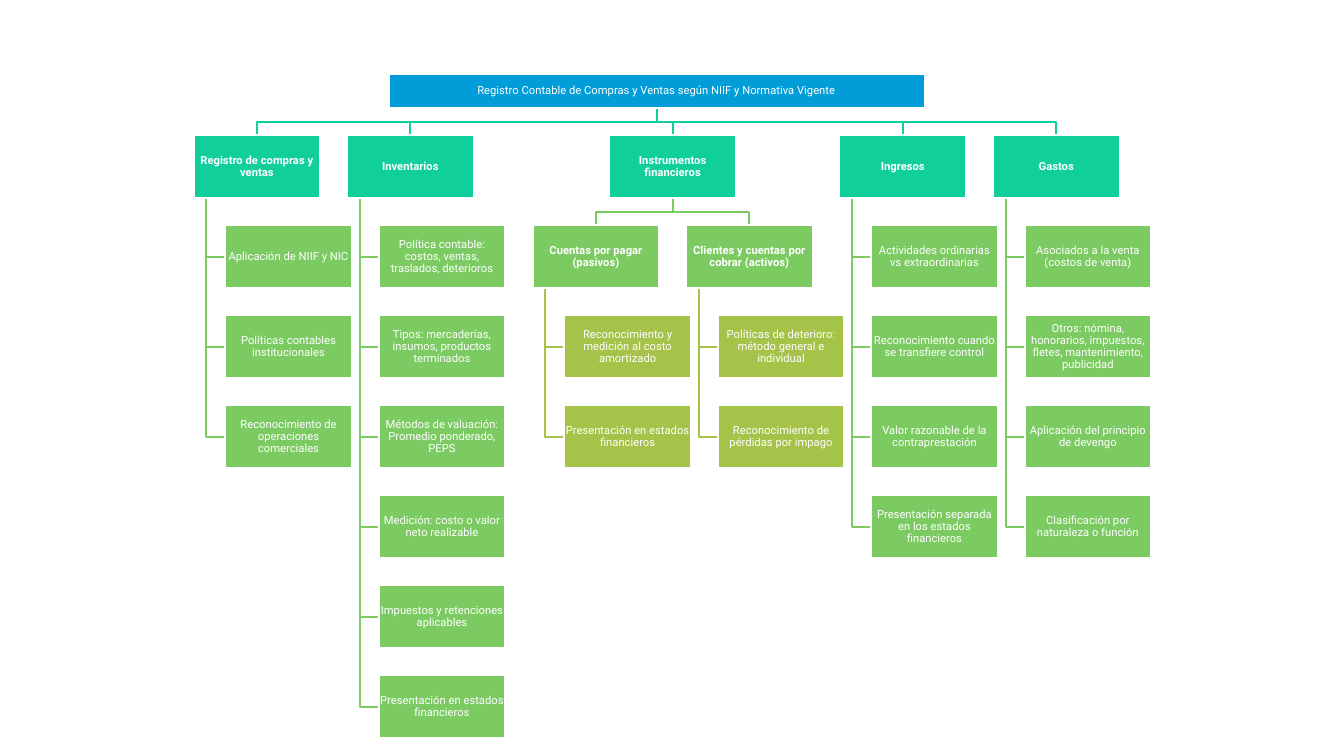
from dataclasses import dataclass

from pptx import Presentation
from pptx.dml.color import RGBColor as Rgb
from pptx.enum.shapes import MSO_SHAPE as Preset
from pptx.enum.text import MSO_ANCHOR as Anchor, PP_ALIGN as Align
from pptx.util import Inches, Pt


@dataclass(frozen=True)
class Theme:
    """Colours by level of the tree, and type settings."""
    levels: tuple = ("009DD9", "10CF9B", "7CCA62", "A5C249")
    white: str = "FFFFFF"
    font: str = "Roboto"
    size: float = 8
    spacing: float = 0.9
    line: float = 1.5


@dataclass(frozen=True)
class Box:
    """A rectangle in inches."""
    left: float
    top: float
    width: float
    height: float

    @property
    def center(self):
        """Return the horizontal centre."""
        return self.left + self.width / 2

    @property
    def middle(self):
        """Return the vertical centre."""
        return self.top + self.height / 2

    @property
    def bottom(self):
        """Return the lower edge."""
        return self.top + self.height


THEME = Theme()
SLIDE_W, SLIDE_H = 13.33, 7.5
NODE_H = SLIDE_W / 21.2
NODE_W = 2 * NODE_H
GAP = 0.42 * NODE_H
COLUMN, ROW = NODE_W + GAP, NODE_H + GAP
INDENT, SPINE = 0.25 * NODE_W, 0.1 * NODE_W
TREE_LEFT, TREE_TOP = 1.92, 1.34
ROOT_W, ROOT_H = 5.32, 0.34

TITLE = "Registro Contable de Compras y Ventas según NIIF y Normativa Vigente"
BRANCHES = [
    (0, "Registro de compras y ventas", [
        "Aplicación de NIIF y NIC",
        "Políticas contables institucionales",
        "Reconocimiento de operaciones comerciales",
    ]),
    (1, "Inventarios", [
        "Política contable: costos, ventas, traslados, deterioros",
        "Tipos: mercaderías, insumos, productos terminados",
        "Métodos de valuación: Promedio ponderado, PEPS",
        "Medición: costo o valor neto realizable",
        "Impuestos y retenciones aplicables",
        "Presentación en estados financieros",
    ]),
    (2.71, "Instrumentos financieros", [
        (-0.5, "Cuentas por pagar (pasivos)", [
            "Reconocimiento y medición al costo amortizado",
            "Presentación en estados financieros",
        ]),
        (0.5, "Clientes y cuentas por cobrar (activos)", [
            "Políticas de deterioro: método general e individual",
            "Reconocimiento de pérdidas por impago",
        ]),
    ]),
    (4.21, "Ingresos", [
        "Actividades ordinarias vs extraordinarias",
        "Reconocimiento cuando se transfiere control",
        "Valor razonable de la contraprestación",
        "Presentación separada en los estados financieros",
    ]),
    (5.21, "Gastos", [
        "Asociados a la venta (costos de venta)",
        "Otros: nómina, honorarios, impuestos, fletes, mantenimiento, publicidad",
        "Aplicación del principio de devengo",
        "Clasificación por naturaleza o función",
    ]),
]


def draw_node(slide, box, label, level, bold=False):
    """Draw one labelled rectangle filling the box."""
    node = slide.shapes.add_shape(
        Preset.RECTANGLE, *map(Inches, (box.left, box.top, box.width, box.height)))
    node.shadow.inherit = False
    node.fill.solid()
    node.fill.fore_color.rgb = Rgb.from_string(THEME.levels[level])
    node.line.color.rgb = Rgb.from_string(THEME.white)
    node.line.width = Pt(THEME.line)
    frame = node.text_frame
    frame.word_wrap = True
    frame.vertical_anchor = Anchor.MIDDLE
    frame.margin_left = frame.margin_right = Inches(0.01)
    frame.margin_top = frame.margin_bottom = Inches(0.01)
    paragraph = frame.paragraphs[0]
    paragraph.alignment = Align.CENTER
    paragraph.line_spacing = THEME.spacing
    run = paragraph.add_run()
    run.text = label
    run.font.name = THEME.font
    run.font.size = Pt(THEME.size)
    run.font.bold = bold
    run.font.color.rgb = Rgb.from_string(THEME.white)


def draw_link(slide, points, level):
    """Draw an open elbow line through the points."""
    start, *rest = [(Inches(x), Inches(y)) for x, y in points]
    builder = slide.shapes.build_freeform(*start)
    builder.add_line_segments(rest, close=False)
    link = builder.convert_to_shape()
    link.shadow.inherit = False
    link.fill.background()
    link.line.color.rgb = Rgb.from_string(THEME.levels[level])
    link.line.width = Pt(THEME.line)


def draw_fork(slide, parent, children, level):
    """Link the foot of the parent to the head of each child."""
    for child in children:
        bend = (parent.bottom + child.top) / 2
        draw_link(slide, [(parent.center, parent.bottom), (parent.center, bend),
                          (child.center, bend), (child.center, child.top)], level)


def draw_list(slide, box, label, items, level):
    """Draw a heading in the box with its items hanging from a spine."""
    spine = box.left + SPINE
    leaves = [Box(box.left + INDENT, box.top + ROW * row, NODE_W, NODE_H)
              for row in range(1, len(items) + 1)]
    for leaf in leaves:
        draw_link(slide, [(spine, box.bottom), (spine, leaf.middle),
                          (leaf.left, leaf.middle)], level + 1)
    draw_node(slide, box, label, level, bold=True)
    for leaf, item in zip(leaves, items):
        draw_node(slide, leaf, item, level + 1)


def draw_branch(slide, box, label, items, level):
    """Draw a heading in the box with a hanging list or side-by-side branches."""
    if isinstance(items[0], str):
        draw_list(slide, box, label, items, level)
        return
    heads = [Box(box.left + COLUMN * offset, box.top + ROW, NODE_W, NODE_H)
             for offset, _, _ in items]
    draw_fork(slide, box, heads, level + 1)
    draw_node(slide, box, label, level, bold=True)
    for head, (_, sublabel, subitems) in zip(heads, items):
        draw_branch(slide, head, sublabel, subitems, level + 1)


def draw_tree(slide, left, top):
    """Draw the whole chart with its first branch at left and top."""
    heads = [Box(left + COLUMN * column, top, NODE_W, NODE_H)
             for column, _, _ in BRANCHES]
    center = (heads[0].center + heads[-1].center) / 2
    root = Box(center - ROOT_W / 2, top - GAP - ROOT_H, ROOT_W, ROOT_H)
    draw_fork(slide, root, heads, 1)
    draw_node(slide, root, TITLE, 0)
    for head, (_, label, items) in zip(heads, BRANCHES):
        draw_branch(slide, head, label, items, 1)


def main():
    """Build and save the slide."""
    deck = Presentation()
    deck.slide_width, deck.slide_height = Inches(SLIDE_W), Inches(SLIDE_H)
    slide = deck.slides.add_slide(deck.slide_layouts[6])
    draw_tree(slide, TREE_LEFT, TREE_TOP)
    deck.save("out.pptx")


if __name__ == "__main__":
    main()
